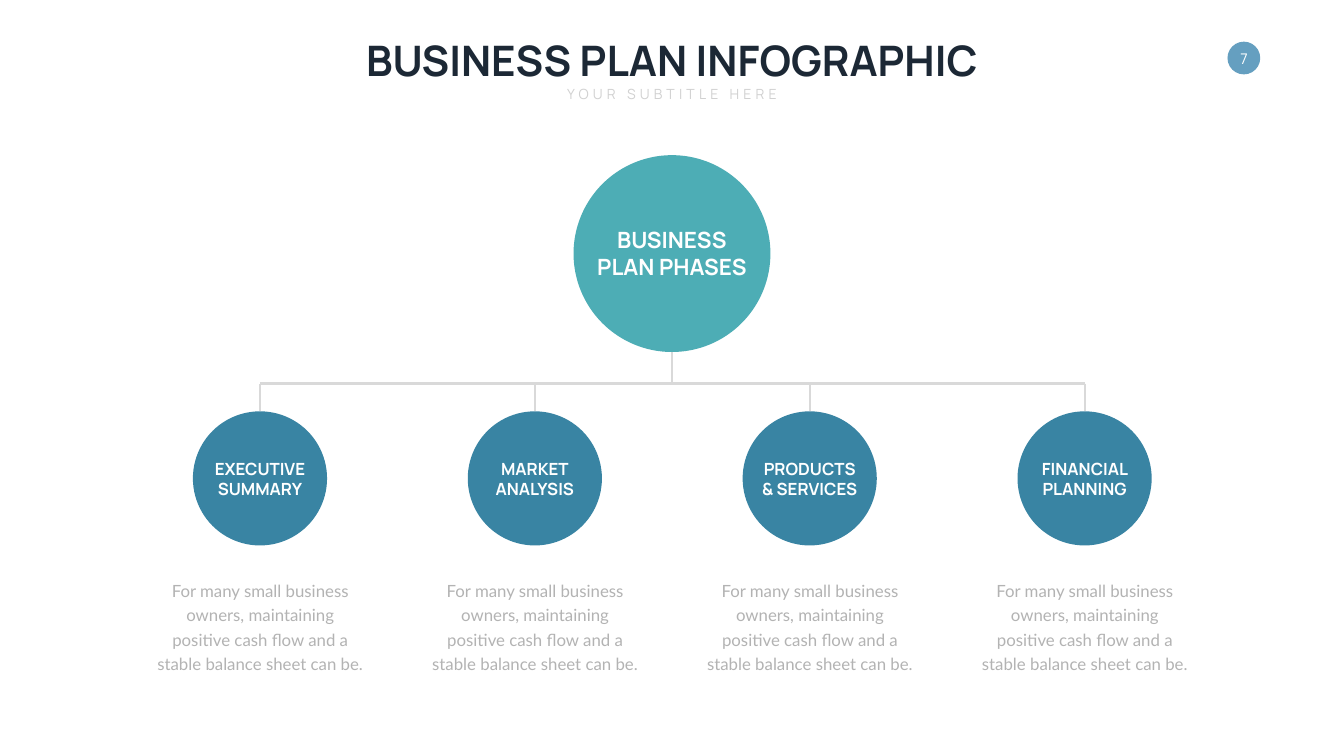
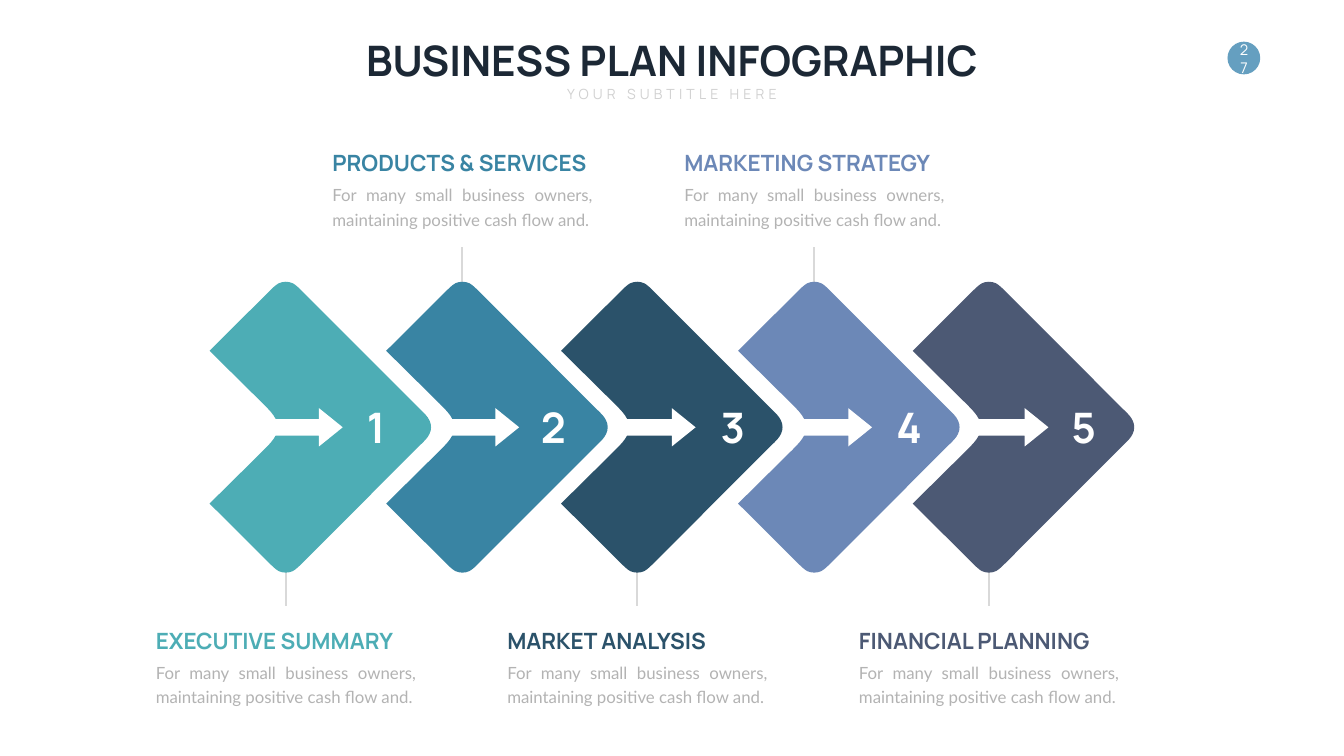
from pptx import Presentation
from pptx import util as u
from pptx.dml.color import RGBColor
from pptx.enum import shapes as sh, text as tx
from pptx.oxml.ns import qn
from lxml import etree

Cm, Pt = u.Cm, u.Pt

# Colours
WHITE = RGBColor(0xFF, 0xFF, 0xFF)
INK = RGBColor(0x1C, 0x28, 0x35)
PALE = RGBColor(0xD1, 0xD1, 0xD1)
GREY = RGBColor(0xB3, 0xB3, 0xB3)
RULE = RGBColor(0xD9, 0xD9, 0xD9)
SKY = RGBColor(0x65, 0x9F, 0xC0)
TEAL = RGBColor(0x4D, 0xAD, 0xB5)
BLUE = RGBColor(0x39, 0x84, 0xA3)
NAVY = RGBColor(0x2B, 0x52, 0x6A)
LILAC = RGBColor(0x6C, 0x88, 0xB7)
SLATE = RGBColor(0x4C, 0x59, 0x74)

HEAD, BODY = "Manrope", "Lato"
OVAL = sh.MSO_SHAPE.OVAL
MID, LOW, TOP = tx.MSO_ANCHOR.MIDDLE, tx.MSO_ANCHOR.BOTTOM, tx.MSO_ANCHOR.TOP
LEFT, CENTER, FULL = tx.PP_ALIGN.LEFT, tx.PP_ALIGN.CENTER, tx.PP_ALIGN.JUSTIFY
HARD = chr(160)  # space that does not break
BLURB = f"For many small business owners, maintaining positive{HARD}cash flow{HARD}and"


def put(words, x, y, w, h, form=None, fill=None, font=HEAD, size=24, color=WHITE,
        bold=False, align=CENTER, anchor=TOP, wrap=True, lead=None, track=None):
    """Add text, in a text box or in a shape; sizes in cm."""
    place = Cm(x), Cm(y), Cm(w), Cm(h)
    if form is None:
        box = page.shapes.add_textbox(*place)
    else:
        box = page.shapes.add_shape(form, *place)
        box.shadow.inherit = False
        box.line.fill.background()
        if fill is None:
            box.fill.background()
        else:
            box.fill.solid()
            box.fill.fore_color.rgb = fill
    if not words:
        return box
    frame = box.text_frame
    frame.text = words
    frame.word_wrap = wrap
    frame.vertical_anchor = anchor
    for para in frame.paragraphs:
        para.alignment = align
        if lead:
            para.line_spacing = Pt(lead)
        for run in para.runs:
            run.font.name, run.font.size, run.font.bold = font, Pt(size), bold
            run.font.color.rgb = color
            if track:
                run.font._element.set("spc", str(track * 100))
    return box


def link(x1, y1, x2, y2):
    """Add a grey rule between two points in cm."""
    rule = page.shapes.add_connector(
        sh.MSO_CONNECTOR.STRAIGHT, Cm(x1), Cm(y1), Cm(x2), Cm(y2))
    rule.line.color.rgb = RULE
    rule.line.width = Pt(3)
    etree.SubElement(rule._element.spPr, qn("a:effectLst"))


deck = Presentation()
deck.slide_width, deck.slide_height = Cm(67.72), Cm(38.1)
blank = deck.slide_layouts[6]
MIDX = 33.86

# Shared heading and page badge
pages = []
for num in ("7", "27"):
    page = deck.slides.add_slide(blank)
    pages.append(page)
    put("", 61.85, 2.1, 1.65, 1.65, form=OVAL, fill=SKY)
    put(num, 61.87, 2.13, 1.63, 1.63, form=OVAL, size=21, anchor=MID)
    put("BUSINESS PLAN INFOGRAPHIC", MIDX - 16.03, 1.63, 32.06, 2.82,
        size=60, color=INK, bold=True, wrap=False)
    put("YOUR SUBTITLE HERE", MIDX - 5.63, 4.17, 11.26, 1.12,
        size=20, color=PALE, track=6, wrap=False)

# Slide 1: tree of phases
page = pages[0]
START, STEP, BAR = 13.1, 13.85, 19.33
cols = [START + STEP * i for i in range(4)]
link(MIDX, 17.73, MIDX, BAR)
put("", MIDX - 4.96, 7.82, 9.92, 9.92, form=OVAL, fill=TEAL)
put("BUSINESS\nPLAN PHASES", MIDX - 4.05, 11.27, 8.1, 3,
    size=32, bold=True, anchor=MID, wrap=False)
link(cols[-1], BAR, cols[0], BAR)

parts = ["EXECUTIVE\vSUMMARY", "MARKET\nANALYSIS",
         "PRODUCTS & SERVICES", "FINANCIAL PLANNING"]
for mid, name in zip(cols, parts):
    link(mid, BAR, mid, 20.73)
    put("", mid - 3.38, 20.73, 6.76, 6.76, form=OVAL, fill=BLUE)
    put(name, mid - 2.74, 22.96, 5.48, 2.31, bold=True, anchor=MID)
    put(BLURB + " a stable balance sheet can be.", mid - 5.58, 28.91, 11.18, 5.11,
        font=BODY, color=GREY, lead=35)

# Slide 2: row of chevrons
page = pages[1]
AXIS = 21.53

# Upper half of the chevron, from notch to tip: corners and curves (two handles, end)
half = [
    [(-0.41, 0.14), (-0.44, 0.28), (-0.51, 0.42)],
    [(-0.64, 0.67), (-0.81, 0.85), (-1.14, 1.18)],
    [(-3.84, 3.85)],
    [(-0.94, 6.74)],
    [(-0.66, 7.02), (-0.53, 7.15), (-0.36, 7.25)],
    [(-0.25, 7.3), (-0.13, 7.33), (0, 7.33)],
    [(0.13, 7.33), (0.25, 7.3), (0.36, 7.25)],
    [(0.53, 7.15), (0.66, 7.02), (0.94, 6.74)],
    [(6.73, 0.94)],
    [(7.01, 0.67), (7.14, 0.55), (7.24, 0.34)],
    [(7.3, 0.23), (7.32, 0.11), (7.32, 0)],
]
edge = [(-0.41, 0)] + [p for seg in half for p in seg]
edge += [(x, -y) for x, y in edge[-2::-1]]
sizes = [len(seg) for seg in half]
sizes += sizes[::-1]

# Name, colour, apex and middle of the number
steps = [
    ("EXECUTIVE SUMMARY", TEAL, 14.4, 18.95),
    ("PRODUCTS & SERVICES", BLUE, 23.3, 27.89),
    ("MARKET ANALYSIS", NAVY, 32.11, 36.92),
    ("MARKETING STRATEGY", LILAC, 41.03, 45.81),
    ("FINANCIAL PLANNING", SLATE, 49.83, 54.6),
]
for i, (name, tone, apex, spot) in enumerate(steps):
    above = i % 2 == 1
    stem = 12.45 if above else 28.8
    link(apex, stem, apex, stem + 1.75)

    # Chevron
    dots = [(Cm(apex + x), Cm(AXIS - y)) for x, y in edge]
    pen = page.shapes.build_freeform(*dots[0])
    pen.add_line_segments(dots[1:], close=True)
    chev = pen.convert_to_shape()
    chev.shadow.inherit = False
    chev.fill.solid()
    chev.fill.fore_color.rgb = tone
    chev.line.fill.background()

    # Join handles and end points into curves
    marks = iter(list(chev._element.iter(qn("a:lnTo"))))
    for size in sizes:
        group = [next(marks) for _ in range(size)]
        if size == 3:
            curve = etree.Element(qn("a:cubicBezTo"))
            group[0].addprevious(curve)
            for mark in group:
                curve.append(mark[0])
                mark.getparent().remove(mark)

    # Arrow and number
    arrow = put("", 13.56 + 8.89 * i, 20.57, 3.71, 1.93,
                form=sh.MSO_SHAPE.RIGHT_ARROW, fill=WHITE)
    arrow.adjustments[0], arrow.adjustments[1] = 0.43, 0.62
    put(str(i + 1), spot - 0.9, 20.12, 1.8, 2.82,
        size=60, bold=True, anchor=MID, wrap=False)

    # Caption
    top = 7.39 if above else 31.45
    put(BLURB + ".", apex - 6.8, top + 1.6, 13.61, 2.62,
        font=BODY, color=GREY, align=FULL, lead=35)
    put(name, apex - 6.8, top, 13.61, 1.63,
        size=32, color=tone, bold=True, align=LEFT, anchor=LOW)

deck.save("out.pptx")
